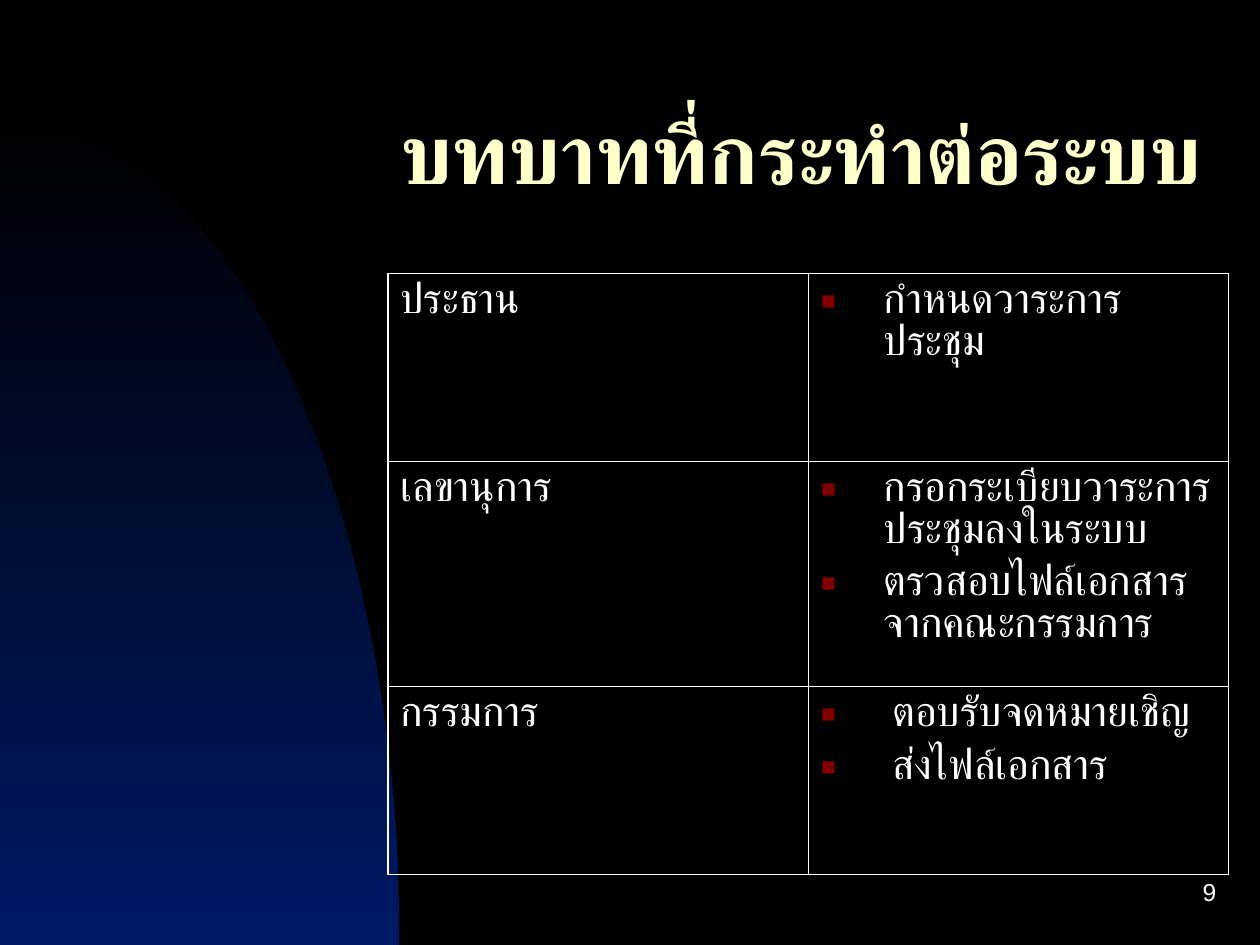
"""Build the slide on the roles that act on the meeting system."""
from lxml import etree
from pptx import Presentation
from pptx.dml.color import RGBColor
from pptx.enum.lang import MSO_LANGUAGE_ID
from pptx.enum.shapes import MSO_SHAPE
from pptx.enum.text import MSO_ANCHOR, PP_ALIGN
from pptx.oxml.ns import qn
from pptx.util import Inches, Pt

OVAL = MSO_SHAPE.OVAL
THAI = MSO_LANGUAGE_ID.THAI
MIDDLE = MSO_ANCHOR.MIDDLE
LEFT, RIGHT = PP_ALIGN.LEFT, PP_ALIGN.RIGHT
COLORS = {"background": "000000", "arc": "0033CC", "title": "FFFFCC",
          "text": "FFFFFF", "bullet": "800000"}
TITLE = {"name": "Arial Narrow", "size": Pt(48), "bold": True, "language_id": THAI}
BODY = {"name": "Arial", "size": Pt(24), "language_id": THAI}
NUMBER = {"name": "Arial", "size": Pt(14)}
ROLES = [
    ("ประธาน", 0.5, ["กำหนดวาระการประชุม"]),
    ("เลขานุการ", 0.5, ["กรอกระเบียบวาระการประชุมลงในระบบ",
                       "ตรวสอบไฟล์เอกสารจากคณะกรรมการ"]),
    ("กรรมการ", 0.57, ["ตอบรับจดหมายเชิญ", "ส่งไฟล์เอกสาร"]),
]
ROW_HEIGHTS = [1.49, 1.79, 1.49]


def write(paragraph, text, style, color):
    run = paragraph.add_run()
    run.text = text
    for name, value in style.items():
        setattr(run.font, name, value)
    run.font.color.rgb = RGBColor.from_string(COLORS[color])


def add_text(slide, box, text, style, color, **layout):
    frame = slide.shapes.add_textbox(*map(Inches, box)).text_frame
    frame.word_wrap = True
    frame.vertical_anchor = MIDDLE
    paragraph = frame.paragraphs[0]
    for name, value in layout.items():
        setattr(paragraph, name, value)
    write(paragraph, text, style, color)


presentation = Presentation()
presentation.slide_width, presentation.slide_height = Inches(10), Inches(7.5)
slide = presentation.slides.add_slide(presentation.slide_layouts[6])
slide.background.fill.solid()
slide.background.fill.fore_color.rgb = RGBColor.from_string(COLORS["background"])

arc = slide.shapes.add_shape(
    OVAL, Inches(-3.17), Inches(0.92), Inches(6.34), Inches(13.16))
arc.shadow.inherit = False
arc.line.fill.background()
arc.fill.gradient()
arc.fill.gradient_angle = 270
for stop, color, position in zip(arc.fill.gradient_stops, ("background", "arc"), (0, 1)):
    stop.color.rgb = RGBColor.from_string(COLORS[color])
    stop.position = position

add_text(slide, (3.08, 0.67, 6.67, 1.25), "บทบาทที่กระทำต่อระบบ", TITLE, "title",
         alignment=LEFT, line_spacing=0.7)

table = slide.shapes.add_table(
    3, 2, Inches(3.08), Inches(2.17), Inches(6.67), Inches(sum(ROW_HEIGHTS))).table
table.first_row = table.horz_banding = False
for row, height in zip(table.rows, ROW_HEIGHTS):
    row.height = Inches(height)

for row, (role, indent, duties) in enumerate(ROLES):
    for column, lines in enumerate(([role], duties)):
        cell = table.cell(row, column)
        cell.fill.background()
        frame = cell.text_frame
        for index, line in enumerate(lines):
            paragraph = frame.add_paragraph() if index else frame.paragraphs[0]
            if index:
                paragraph.space_before = Pt(6)
            if column == 1:
                properties = paragraph._p.get_or_add_pPr()
                properties.set("marL", str(Inches(indent)))
                properties.set("indent", str(-Inches(indent)))
                bullet_color = etree.SubElement(properties, qn("a:buClr"))
                etree.SubElement(bullet_color, qn("a:srgbClr"), val=COLORS["bullet"])
                etree.SubElement(properties, qn("a:buSzPct"), val="60000")
                etree.SubElement(properties, qn("a:buFont"), typeface="Arial")
                etree.SubElement(properties, qn("a:buChar"), char="■")
            write(paragraph, line, BODY, "text")

        cell_properties = cell._tc.get_or_add_tcPr()
        outer_sides = {"L": column == 0, "R": column == 1, "T": row == 0, "B": row == 2}
        for position, (side, is_outer) in enumerate(outer_sides.items()):
            border = etree.Element(qn(f"a:ln{side}"), w=str(Pt(1.08 if is_outer else 0.45)))
            border_fill = etree.SubElement(border, qn("a:solidFill"))
            etree.SubElement(border_fill, qn("a:srgbClr"), val=COLORS["text"])
            cell_properties.insert(position, border)

add_text(slide, (7.67, 6.83, 2.08, 0.5), "9", NUMBER, "text", alignment=RIGHT)

presentation.save("out.pptx")
